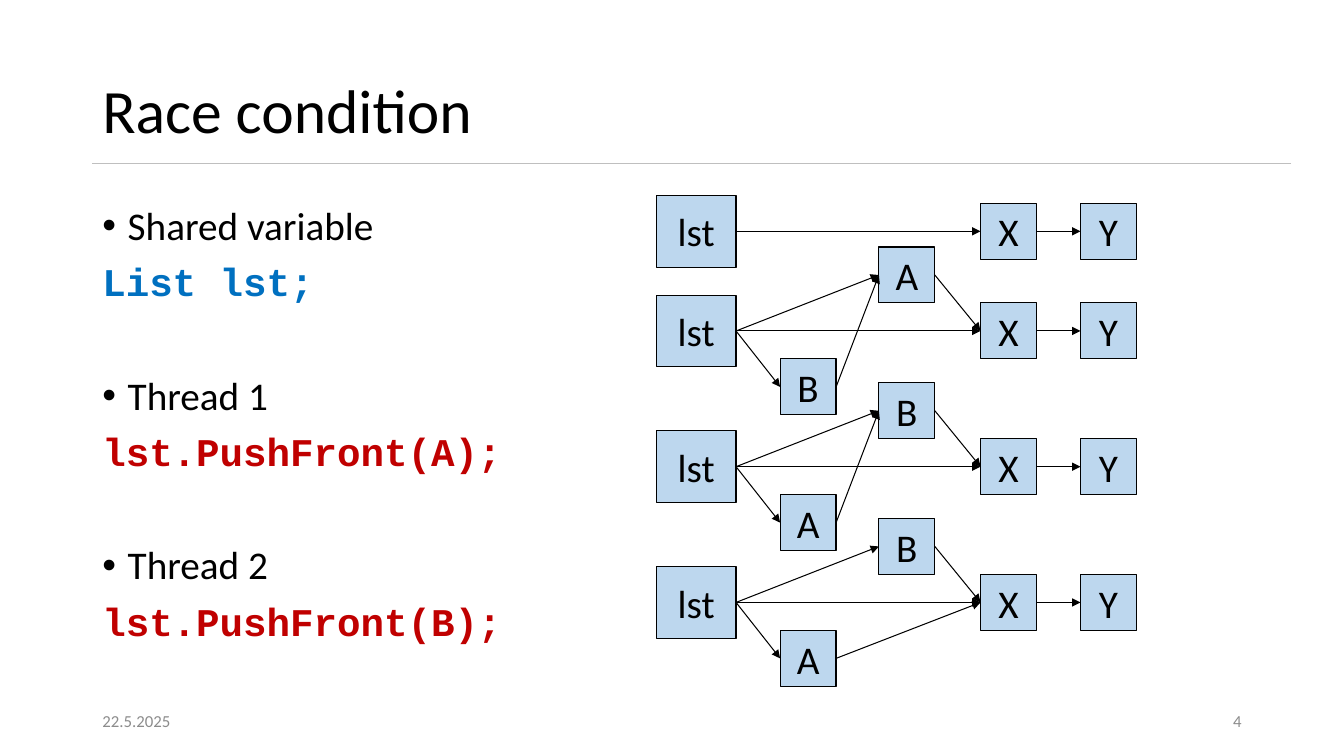
from dataclasses import dataclass

from lxml.etree import SubElement
from pptx import Presentation
from pptx.dml.color import RGBColor
from pptx.enum.shapes import MSO_CONNECTOR, MSO_SHAPE
from pptx.enum.text import MSO_ANCHOR, PP_ALIGN
from pptx.oxml.ns import qn
from pptx.util import Cm, Pt


@dataclass(frozen=True)
class Theme:
    font: str = "Calibri"
    code_font: str = "Courier New"
    ink: str = "000000"
    muted: str = "8C8C8C"
    rule: str = "BFBFBF"
    node: str = "BDD7EE"
    declaration: str = "0070C0"
    call: str = "C00000"
    title_size: float = 44
    body_size: float = 28
    footer_size: float = 12
    line_width: float = 0.75


THEME = Theme()
LEFT, RIGHT = 1, 3
NODE_SIZE = 1.41
HEAD_WIDTH, HEAD_HEIGHT = 2.01, 1.81
HEAD_X, LOW_X, HIGH_X, X_X, Y_X = 16.54, 19.66, 22.15, 24.71, 27.23
FIRST_ROW, RACE_ROW, RACE_PITCH = 5.83, 8.34, 3.42
GROUP_GAP = 50.75


def write_text(frame, text, size=THEME.body_size, color=THEME.ink, font=THEME.font,
               bold=False, align=PP_ALIGN.LEFT, spacing=1.0, before=0, bullet=False):
    paragraph = frame.paragraphs[-1]
    if paragraph.runs:
        paragraph = frame.add_paragraph()
    if bullet:
        properties = paragraph._p.get_or_add_pPr()
        properties.set("marL", str(Cm(0.64)))
        properties.set("indent", str(-Cm(0.64)))
        SubElement(properties, qn("a:buFont"), typeface="Arial")
        SubElement(properties, qn("a:buChar"), char="•")
    paragraph.alignment = align
    paragraph.line_spacing = spacing
    paragraph.space_before = Pt(before)
    run = paragraph.add_run()
    run.text = text
    run.font.size = Pt(size)
    run.font.name = font
    run.font.bold = bold
    run.font.color.rgb = RGBColor.from_string(color)


def add_frame(slide, left, top, width, height, anchor=MSO_ANCHOR.MIDDLE):
    frame = slide.shapes.add_textbox(Cm(left), Cm(top), Cm(width), Cm(height)).text_frame
    frame.word_wrap = True
    frame.vertical_anchor = anchor
    return frame


def add_node(slide, label, left, middle, width=NODE_SIZE, height=NODE_SIZE):
    node = slide.shapes.add_shape(MSO_SHAPE.RECTANGLE, Cm(left), Cm(middle - height / 2),
                                  Cm(width), Cm(height))
    node.shadow.inherit = False
    node.fill.solid()
    node.fill.fore_color.rgb = RGBColor.from_string(THEME.node)
    node.line.color.rgb = RGBColor.from_string(THEME.ink)
    node.line.width = Pt(THEME.line_width)
    node.text_frame.word_wrap = False
    node.text_frame.vertical_anchor = MSO_ANCHOR.MIDDLE
    write_text(node.text_frame, label, align=PP_ALIGN.CENTER)
    return node


def add_line(slide, start, end, color):
    line = slide.shapes.add_connector(MSO_CONNECTOR.STRAIGHT, Cm(start[0]), Cm(start[1]),
                                      Cm(end[0]), Cm(end[1]))
    line.line.color.rgb = RGBColor.from_string(color)
    line.line.width = Pt(THEME.line_width)
    SubElement(line._element.spPr, qn("a:effectLst"))
    return line


def add_arrow(slide, source, target):
    arrow = add_line(slide, (0, 0), (0, 0), THEME.ink)
    arrow.begin_connect(source, RIGHT)
    arrow.end_connect(target, LEFT)
    SubElement(arrow.line._get_or_add_ln(), qn("a:tailEnd"), type="triangle")


def add_list_row(slide, middle):
    head = add_node(slide, "lst", HEAD_X, middle, HEAD_WIDTH, HEAD_HEIGHT)
    x_node = add_node(slide, "X", X_X, middle)
    y_node = add_node(slide, "Y", Y_X, middle)
    add_arrow(slide, head, x_node)
    add_arrow(slide, x_node, y_node)
    return head, x_node


def add_race_row(slide, middle, low_label, high_label, low_joins_high):
    head, x_node = add_list_row(slide, middle)
    low = add_node(slide, low_label, LOW_X, middle + NODE_SIZE)
    high = add_node(slide, high_label, HIGH_X, middle - NODE_SIZE)
    add_arrow(slide, head, low)
    add_arrow(slide, head, high)
    add_arrow(slide, high, x_node)
    add_arrow(slide, low, high if low_joins_high else x_node)


def add_code_list(slide):
    body = add_frame(slide, 2.33, 5.08, 14.4, 12.09, MSO_ANCHOR.TOP)
    groups = [
        ("Shared variable", "List lst;", THEME.declaration),
        ("Thread 1", "lst.PushFront(A);", THEME.call),
        ("Thread 2", "lst.PushFront(B);", THEME.call),
    ]
    for index, (heading, code, color) in enumerate(groups):
        write_text(body, heading, spacing=0.9, bullet=True, before=GROUP_GAP if index else 0)
        write_text(body, code, spacing=0.9, before=10, font=THEME.code_font,
                   color=color, bold=True)


def main():
    presentation = Presentation()
    presentation.slide_width, presentation.slide_height = Cm(33.87), Cm(19.05)
    slide = presentation.slides.add_slide(presentation.slide_layouts[6])

    add_line(slide, (32.54, 4.12), (2.33, 4.12), THEME.rule)
    title = add_frame(slide, 2.33, 1.01, 27, 3.68)
    write_text(title, "Race condition", size=THEME.title_size, spacing=0.9)
    add_code_list(slide)

    for text, left, align in [("22.5.2025", 2.33, PP_ALIGN.LEFT), ("4", 23.92, PP_ALIGN.RIGHT)]:
        footer = add_frame(slide, left, 17.66, 7.62, 1.01)
        write_text(footer, text, size=THEME.footer_size, color=THEME.muted, align=align)

    add_list_row(slide, FIRST_ROW)
    races = [("B", "A", True), ("A", "B", True), ("A", "B", False)]
    for index, race in enumerate(races):
        add_race_row(slide, RACE_ROW + index * RACE_PITCH, *race)

    presentation.save("out.pptx")


if __name__ == "__main__":
    main()
